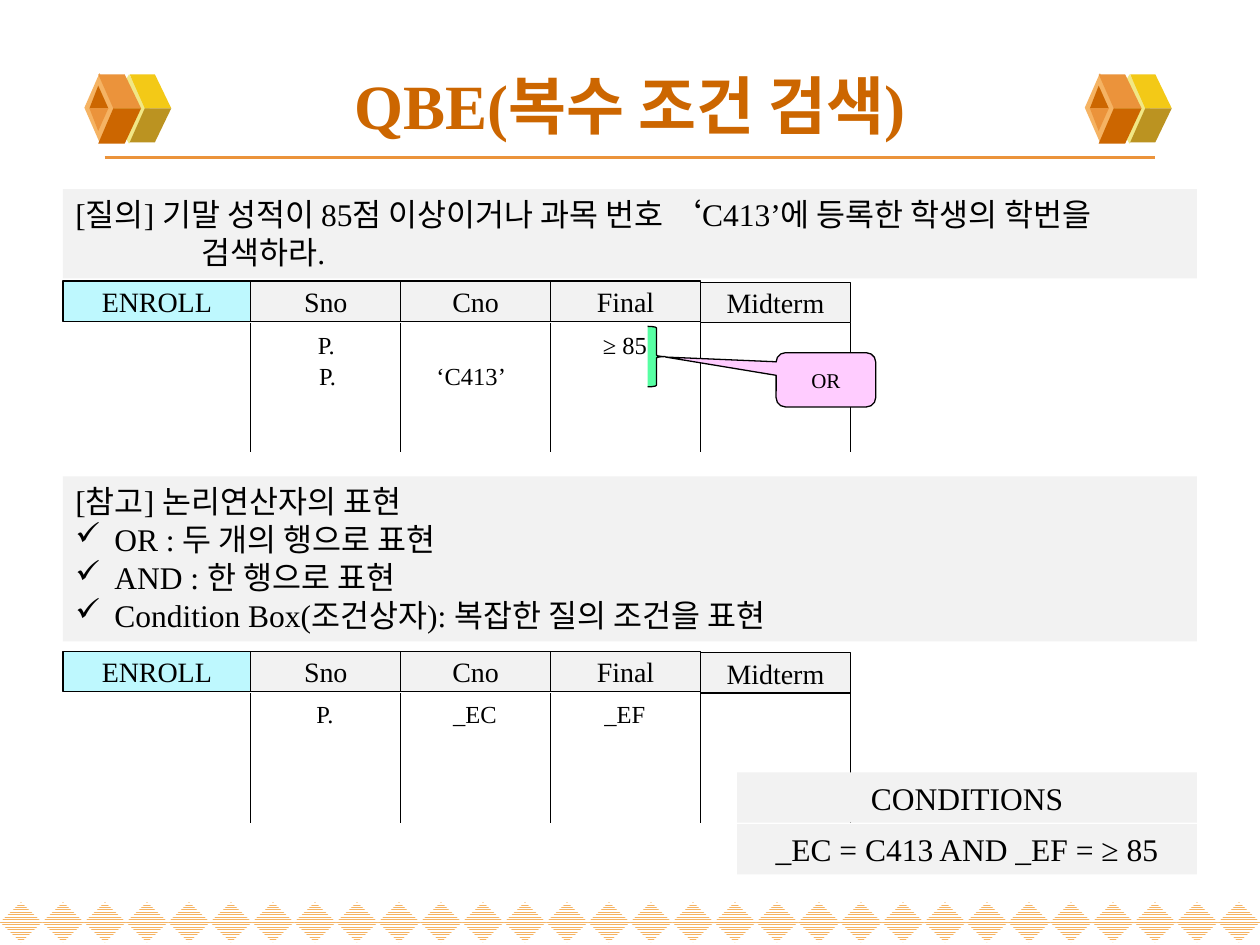
import pptx
import pptx.util
import pptx.dml.color
import pptx.enum.dml
import pptx.enum.shapes
import pptx.enum.text
import pptx.oxml.ns
from lxml import etree

Inches = pptx.util.Inches
RGB = pptx.dml.color.RGBColor
MSO = pptx.enum.shapes.MSO_SHAPE
ALIGN = pptx.enum.text.PP_ALIGN
ANCHOR = pptx.enum.text.MSO_ANCHOR
qn = pptx.oxml.ns.qn

BLACK = RGB(0x00, 0x00, 0x00)
WHITE = RGB(0xFF, 0xFF, 0xFF)
GRAY = RGB(0xF2, 0xF2, 0xF2)
CYAN = RGB(0xBE, 0xF8, 0xFE)
PINK = RGB(0xFF, 0xCC, 0xFF)
GREEN = RGB(0x57, 0xFF, 0xA3)
RUST = RGB(0xCC, 0x66, 0x00)
ORANGE = RGB(0xEB, 0x93, 0x3B)
PEACH = RGB(0xF5, 0xB3, 0x63)
CREAM = RGB(0xF1, 0xE7, 0x85)
YELLOW = RGB(0xF3, 0xC9, 0x17)
OLIVE = RGB(0xBB, 0x93, 0x21)


def write(para, text, size=18, color=BLACK, bold=False, center=False,
          left=0, first=0, bullet=None):
    """Put text in a paragraph and format it."""
    para.alignment = ALIGN.CENTER if center else ALIGN.LEFT
    run = para.add_run()
    run.text = text
    font = run.font
    font.name = "Times New Roman"
    font.size = pptx.util.Pt(size)
    font.bold = bold
    font.color.rgb = color
    props = para._p.get_or_add_pPr()
    props.set("marL", str(Inches(left)))
    props.set("indent", str(Inches(first)))
    if bullet:
        etree.SubElement(props, qn("a:buChar")).set("char", bullet)


class Deck:
    def __init__(self):
        self.file = pptx.Presentation()
        self.file.slide_width = Inches(10)
        self.file.slide_height = Inches(7.5)
        self.slide = self.file.slides.add_slide(self.file.slide_layouts[6])
        self.shapes = self.slide.shapes
        self.thin = pptx.util.Pt(0.75)

    def paint(self, shape, fill, edge=None):
        shape.shadow.inherit = False
        shape.fill.solid()
        shape.fill.fore_color.rgb = fill
        if edge is None:
            shape.line.fill.background()
        else:
            shape.line.color.rgb = edge
            shape.line.width = self.thin
        return shape

    def shape(self, kind, x, y, w, h, fill, edge=None):
        item = self.shapes.add_shape(
            kind, Inches(x), Inches(y), Inches(w), Inches(h))
        return self.paint(item, fill, edge)

    def fill_text(self, shape, lines, anchor=ANCHOR.TOP, **style):
        """Lines are strings, or pairs of a string and its own format."""
        frame = shape.text_frame
        frame.word_wrap = True
        frame.vertical_anchor = anchor
        for i, line in enumerate(lines):
            text, extra = (line, {}) if isinstance(line, str) else line
            para = frame.add_paragraph() if i else frame.paragraphs[0]
            write(para, text, **{**style, **extra})

    def panel(self, x, y, w, h, lines, **style):
        self.fill_text(self.shape(MSO.RECTANGLE, x, y, w, h, GRAY),
                       lines, **style)

    def label(self, x, y, text, w=1.1, h=0.34, size=14, **style):
        box = self.shapes.add_textbox(
            Inches(x), Inches(y), Inches(w), Inches(h))
        self.fill_text(box, [text], size=size, center=True, **style)

    def line(self, x1, y1, x2, y2, color=BLACK, width=0.75):
        item = self.shapes.add_connector(
            pptx.enum.shapes.MSO_CONNECTOR.STRAIGHT,
            Inches(x1), Inches(y1), Inches(x2), Inches(y2))
        item.line.color.rgb = color
        item.line.width = pptx.util.Pt(width)
        etree.SubElement(item._element.spPr, qn("a:effectLst"))

    def facet(self, points, dx, fill):
        spots = [(Inches(x + dx), Inches(y)) for x, y in points]
        pen = self.shapes.build_freeform(*spots[0], scale=1.0)
        pen.add_line_segments(spots[1:], close=True)
        self.paint(pen.convert_to_shape(), fill)

    def cube(self, dx):
        def wing(x, w, tip, fill):
            self.facet([(x + 0.12, 0.86), (x + w, 0.86),
                        (x + w - 0.13, tip), (x, tip)], dx, fill)

        self.shape(MSO.DIAMOND, 0.86 + dx, 0.59, 0.33, 0.55, CREAM)
        wing(1.03, 0.33, 0.59, YELLOW)
        wing(1.03, 0.33, 1.13, OLIVE)
        self.shape(MSO.DIAMOND, 0.67 + dx, 0.58, 0.24, 0.55, PEACH)
        wing(0.78, 0.34, 0.59, ORANGE)
        wing(0.78, 0.34, 1.14, RUST)
        for tip, fill in ((0.68, RUST), (1.04, ORANGE)):
            self.facet([(0.78, tip), (0.71, 0.86), (0.86, 0.86)], dx, fill)

    def grid(self, y):
        """Header cells with open columns below."""
        names = ("ENROLL", "Sno", "Cno", "Final", "Midterm")
        x = 0.5
        for i, name in enumerate(names):
            w = 1.19 if i else 1.49
            drop = 0.01 if name == "Midterm" else 0
            cell = self.shape(MSO.RECTANGLE, x, y + drop, w, 0.32,
                              GRAY if i else CYAN, BLACK)
            self.fill_text(cell, [name], ANCHOR.MIDDLE, size=16, center=True)
            x += w
            self.line(x, y + 0.33, x, y + 1.36)

    def band(self, count=30):
        step = 10 / count
        for i in range(count):
            item = self.shape(MSO.DIAMOND, i * step, 7.16, step, 0.32, PEACH)
            item.fill.patterned()
            item.fill.pattern = (
                pptx.enum.dml.MSO_PATTERN.NARROW_HORIZONTAL)
            item.fill.fore_color.rgb = PEACH
            item.fill.back_color.rgb = WHITE


def main():
    deck = Deck()

    # Frame: bottom band, title rule, cubes
    deck.band()
    deck.line(0.83, 1.25, 9.17, 1.25, ORANGE, 2.25)
    for dx in (0, 7.94):
        deck.cube(dx)
    deck.label(0.5, 0.4, "QBE(복수 조건 검색)", w=9, h=0.85, size=36,
               color=RUST, bold=True, anchor=ANCHOR.MIDDLE)

    # Query and its table
    deck.grid(2.23)
    deck.panel(0.5, 1.5, 9, 0.71, [
        "[질의] 기말 성적이 85점 이상이거나 과목 번호 ‘C413’에 등록한 학생의 학번을",
        ("검색하라.", {"left": 1})])
    for x, y, text in ((2.04, 2.57, "P."), (2.05, 2.82, "P."),
                       (4.41, 2.57, "≥ 85"), (3.19, 2.82, "‘C413’")):
        deck.label(x, y, text)

    # Note on logical operators
    check = {"left": 0.31, "first": -0.31, "bullet": "✓"}
    deck.panel(0.5, 3.78, 9, 1.31, [
        "[참고] 논리연산자의 표현",
        ("OR : 두 개의 행으로 표현", check),
        ("AND : 한 행으로 표현", check),
        ("Condition Box(조건상자): 복잡한 질의 조건을 표현", check)])

    # OR callout and brace
    call = deck.shape(MSO.ROUNDED_RECTANGULAR_CALLOUT,
                      6.16, 2.8, 0.79, 0.43, PINK, BLACK)
    for i, value in enumerate((-1.61, -0.42, 0.17)):
        call.adjustments[i] = value
    deck.fill_text(call, ["OR"], ANCHOR.MIDDLE, size=12, center=True)
    deck.shape(MSO.RIGHT_BRACE, 5.14, 2.59, 0.14, 0.48, GREEN, BLACK)

    # Table with condition box
    deck.grid(5.17)
    for i, text in enumerate(("P.", "_EC", "_EF")):
        deck.label(2.03 + i * 1.19, 5.5, text)
    for y, text in ((6.13, "CONDITIONS"), (6.54, "_EC = C413 AND _EF = ≥ 85")):
        deck.panel(5.85, y, 3.65, 0.4, [text], center=True)

    deck.file.save("out.pptx")


if __name__ == "__main__":
    main()
